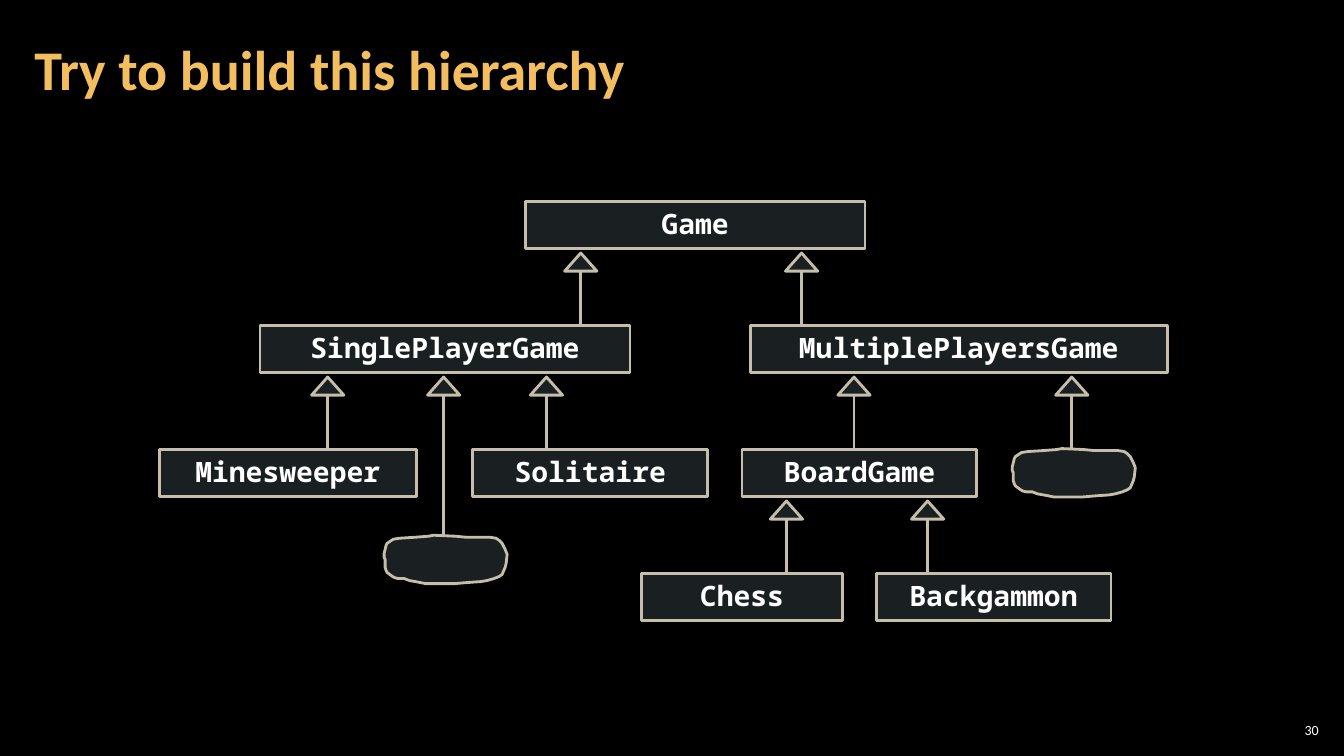
from lxml.etree import SubElement
from pptx import Presentation
from pptx.dml.color import RGBColor
from pptx.enum.shapes import MSO_CONNECTOR, MSO_SHAPE
from pptx.enum.text import MSO_ANCHOR, PP_ALIGN
from pptx.oxml.ns import qn
from pptx.util import Inches, Pt

BLACK = RGBColor(0x00, 0x00, 0x00)
WHITE = RGBColor(0xFF, 0xFF, 0xFF)
GOLD = RGBColor(0xF3, 0xBE, 0x60)
PALE = RGBColor(0xB5, 0xDB, 0xE5)
SAND = RGBColor(0xC6, 0xBE, 0xAB)

ROW_STEP = 1.23
BOX_H = 0.47
HEAD_W, HEAD_H, HEAD_GAP = 0.32, 0.18, 0.04

# name, left, row, width
CLASSES = [
    ("Game", 5.21, 0, 3.37),
    ("SinglePlayerGame", 2.58, 1, 3.67),
    ("MultiplePlayersGame", 7.44, 1, 4.14),
    ("Minesweeper", 1.58, 2, 2.55),
    ("Solitaire", 4.69, 2, 2.33),
    ("BoardGame", 7.36, 2, 2.33),
    ("Chess", 6.36, 3, 2),
    ("Backgammon", 8.69, 3, 2.33),
]
# centre, parent row
ARROWS = [(5.76, 0), (7.95, 0), (3.25, 1), (5.42, 1), (8.47, 1),
          (10.63, 1), (7.8, 2), (9.2, 2)]
# left, top
BLOBS = [(10.04, 4.45), (3.81, 5.31)]
LONG_X = 4.4

# Blob outline in hundredths of an inch
OUTLINE = [
    (0, 18), (1, 14), (2, 10), (3, 8), (6, 6), (9, 4), (15, 3), (31, 2),
    (44, 1), (49, 0), (71, 1), (81, 2), (105, 2), (111, 3), (114, 5),
    (117, 8), (120, 14), (122, 19), (121, 28), (120, 32), (117, 39),
    (114, 41), (109, 43), (102, 45), (96, 46), (82, 47), (70, 48),
    (41, 48), (36, 47), (31, 46), (25, 45), (20, 43), (14, 43), (10, 42),
    (7, 40), (3, 37), (2, 35), (1, 32), (1, 24), (0, 22),
]


def style(shape):
    """Give a shape the faint fill and sand outline."""
    shape.shadow.inherit = False
    shape.fill.solid()
    shape.fill.fore_color.rgb = PALE
    color = shape.fill._xPr.find(qn("a:solidFill"))[0]
    SubElement(color, qn("a:alpha"), val="15000")
    shape.line.color.rgb = SAND
    shape.line.width = Pt(2)


def set_font(par, face, size, color, bold):
    font = par.font
    font.name, font.size, font.bold = face, Pt(size), bold
    font.color.rgb = color


def set_frame(frame, side, edge):
    frame.word_wrap = True
    frame.vertical_anchor = MSO_ANCHOR.MIDDLE
    frame.margin_left = frame.margin_right = Inches(side)
    frame.margin_top = frame.margin_bottom = Inches(edge)


def add_title(slide, left, top, width, height):
    title = slide.shapes.title
    title.left, title.top = Inches(left), Inches(top)
    title.width, title.height = Inches(width), Inches(height)
    title.text_frame.text = "Try to build this hierarchy"
    set_frame(title.text_frame, 0.12, 0.04)
    par = title.text_frame.paragraphs[0]
    par.alignment = PP_ALIGN.LEFT
    set_font(par, "Calibri", 40, GOLD, True)


def add_class(slide, name, left, top, width):
    box = slide.shapes.add_shape(MSO_SHAPE.RECTANGLE, Inches(left), Inches(top),
                                 Inches(width), Inches(BOX_H))
    style(box)
    box.text_frame.text = name
    set_frame(box.text_frame, 0.1, 0.05)
    par = box.text_frame.paragraphs[0]
    par.alignment = PP_ALIGN.CENTER
    par.line_spacing = 0.95
    set_font(par, "Noto Sans Mono", 20, WHITE, True)


def add_arrow(slide, x, top, bottom):
    """Draw a hollow arrowhead at top with its stem down to bottom."""
    head = slide.shapes.add_shape(
        MSO_SHAPE.ISOSCELES_TRIANGLE, Inches(x - HEAD_W / 2), Inches(top),
        Inches(HEAD_W), Inches(HEAD_H))
    style(head)
    stem = slide.shapes.add_connector(
        MSO_CONNECTOR.STRAIGHT, Inches(x), Inches(top + HEAD_H),
        Inches(x), Inches(bottom))
    stem.line.color.rgb = SAND
    stem.line.width = Pt(2)
    SubElement(stem._element.spPr, qn("a:effectLst"))


def add_blob(slide, left, top):
    pen = slide.shapes.build_freeform(*OUTLINE[0], scale=Inches(0.01))
    pen.add_line_segments(OUTLINE[1:], close=True)
    style(pen.convert_to_shape(Inches(left), Inches(top)))


def add_tree(slide, top):
    for name, left, row, width in CLASSES:
        add_class(slide, name, left, top + row * ROW_STEP, width)
    for x, row in ARROWS:
        start = top + row * ROW_STEP
        add_arrow(slide, x, start + BOX_H + HEAD_GAP, start + ROW_STEP)
    add_arrow(slide, LONG_X, top + ROW_STEP + BOX_H + HEAD_GAP, BLOBS[1][1])
    for left, y in BLOBS:
        add_blob(slide, left, y)


def add_number(slide, left, top, width, height):
    box = slide.shapes.add_textbox(Inches(left), Inches(top),
                                   Inches(width), Inches(height))
    box.text_frame.text = "30"
    set_frame(box.text_frame, 0.04, 0.04)
    par = box.text_frame.paragraphs[0]
    par.alignment = PP_ALIGN.RIGHT
    set_font(par, "Calibri", 10, WHITE, False)


def main():
    deck = Presentation()
    deck.slide_width, deck.slide_height = Inches(13.33), Inches(7.5)
    slide = deck.slides.add_slide(deck.slide_layouts[5])
    slide.background.fill.solid()
    slide.background.fill.fore_color.rgb = BLACK
    add_title(slide, 0.22, 0.07, 10.47, 1.21)
    add_tree(slide, 2)
    add_number(slide, 12.65, 7.14, 0.47, 0.21)
    deck.save("out.pptx")


if __name__ == "__main__":
    main()
